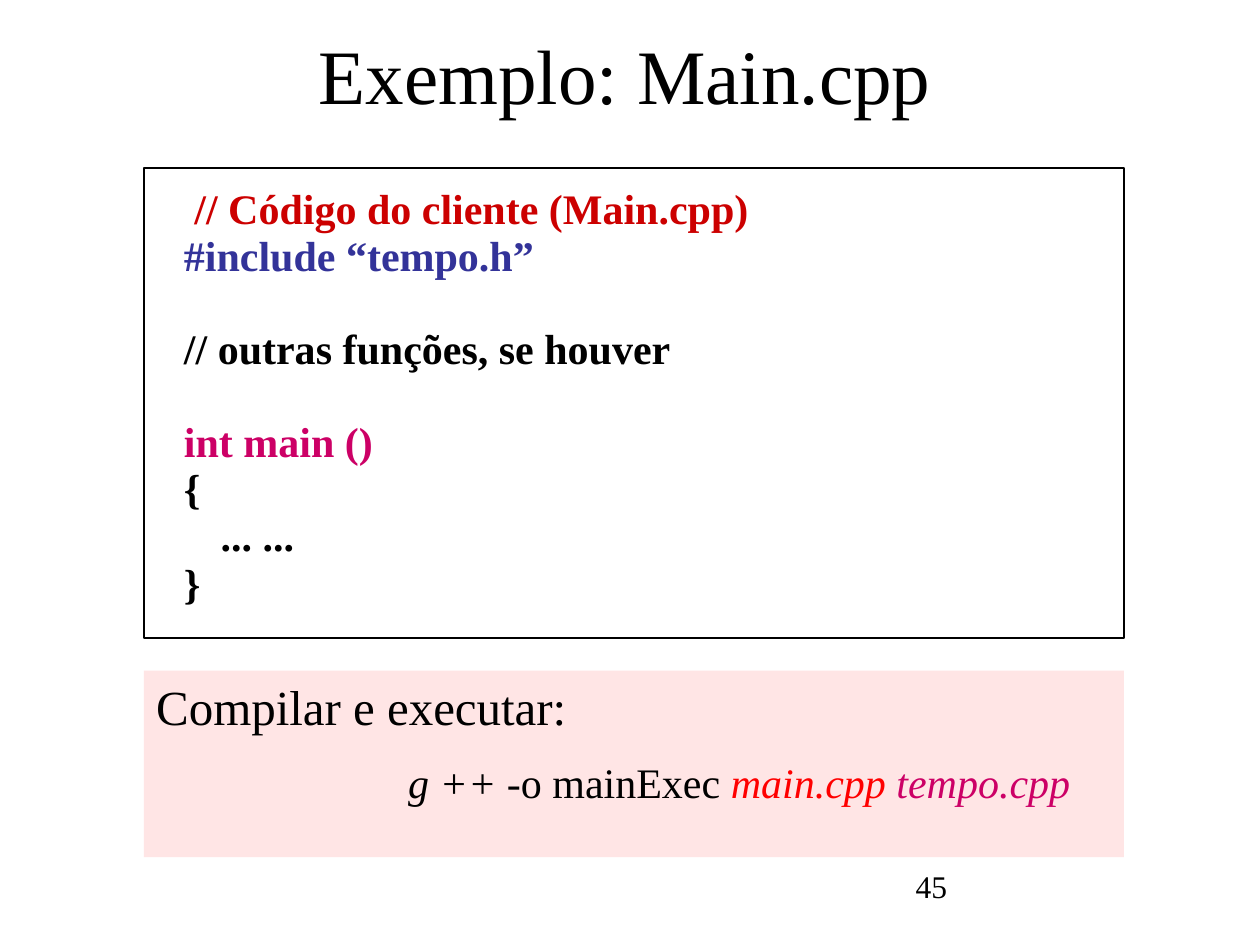
from pptx import Presentation
from pptx.dml.color import RGBColor
from pptx.enum.shapes import MSO_SHAPE
from pptx.enum.text import MSO_ANCHOR, MSO_AUTO_SIZE, PP_ALIGN
from pptx.util import Cm, Pt


def set_font(font, size, color="000000", bold=False):
    font.name = "Times New Roman"
    font.size = Pt(size)
    font.bold = bold
    font.color.rgb = RGBColor.from_string(color)


def add_panel(top, height, fill):
    """Add a plain rectangle in the column shared by both panels."""
    sp = s.shapes.add_shape(MSO_SHAPE.RECTANGLE, Cm(2.9), Cm(top), Cm(19.76), Cm(height))
    sp.shadow.inherit = False
    sp.fill.solid()
    sp.fill.fore_color.rgb = RGBColor.from_string(fill)
    return sp


prs = Presentation()
prs.slide_width, prs.slide_height = Cm(25.4), Cm(19.05)
s = prs.slides.add_slide(prs.slide_layouts[5])

# Title
title = s.shapes.title
title.left, title.top, title.width, title.height = Cm(1.7), Cm(0.64), Cm(21.8), Cm(1.9)
tf = title.text_frame
tf.text = "Exemplo: Main.cpp"
tf.auto_size = MSO_AUTO_SIZE.NONE
tf.vertical_anchor = MSO_ANCHOR.BOTTOM
p = tf.paragraphs[0]
p.alignment = PP_ALIGN.CENTER
set_font(p.font, 44)

# Code listing: text, colour, indent in cm, space before in points
code_panel = add_panel(3.39, 9.47, "FFFFFF")
code_panel.line.color.rgb = RGBColor.from_string("000000")
code_panel.line.width = Pt(1)

code_lines = [
    ("// Código do cliente (Main.cpp)", "CC0000", 0.42, 0),
    ("#include “tempo.h”", "333399", 0.21, 0),
    ("// outras funções, se houver", "000000", 0.21, 26),
    ("int main ()", "CC0066", 0.21, 26),
    ("{", "000000", 0.21, 0),
    ("... ...", "000000", 0.95, 0),
    ("}", "000000", 0.21, 0),
]
code = s.shapes.add_textbox(Cm(3.25), Cm(3.63), Cm(18.92), Cm(8.89))
tf = code.text_frame
tf.word_wrap = True
for i, (text, color, indent, before) in enumerate(code_lines):
    p = tf.paragraphs[0] if i == 0 else tf.add_paragraph()
    p.text = text
    p.line_spacing = 0.94
    p.space_before = Pt(before)
    p._p.get_or_add_pPr().set("marL", str(Cm(indent)))
    set_font(p.font, 24, color, bold=True)

# Build command
build = add_panel(13.52, 3.76, "FFE5E5")
build.line.fill.background()
tf = build.text_frame
tf.vertical_anchor = MSO_ANCHOR.TOP
p = tf.paragraphs[0]
p.text = "Compilar e executar:"
p.alignment = PP_ALIGN.LEFT
set_font(p.font, 28)

p = tf.add_paragraph()
p.alignment = PP_ALIGN.LEFT
p.space_before = Pt(12)
p._p.get_or_add_pPr().set("marL", str(Cm(5.08)))
for text, color, italic in [
    ("g ++", "000000", True),
    (" -o mainExec ", "000000", False),
    ("main.cpp ", "FF0000", True),
    ("tempo.cpp", "CC0066", True),
]:
    r = p.add_run()
    r.text = text
    set_font(r.font, 24, color)
    r.font.italic = italic

# Page number
number = s.shapes.add_textbox(Cm(18.21), Cm(17.35), Cm(5.92), Cm(1.32))
number.text_frame.word_wrap = True
p = number.text_frame.paragraphs[0]
p.text = "45"
set_font(p.font, 18)

prs.save("out.pptx")
